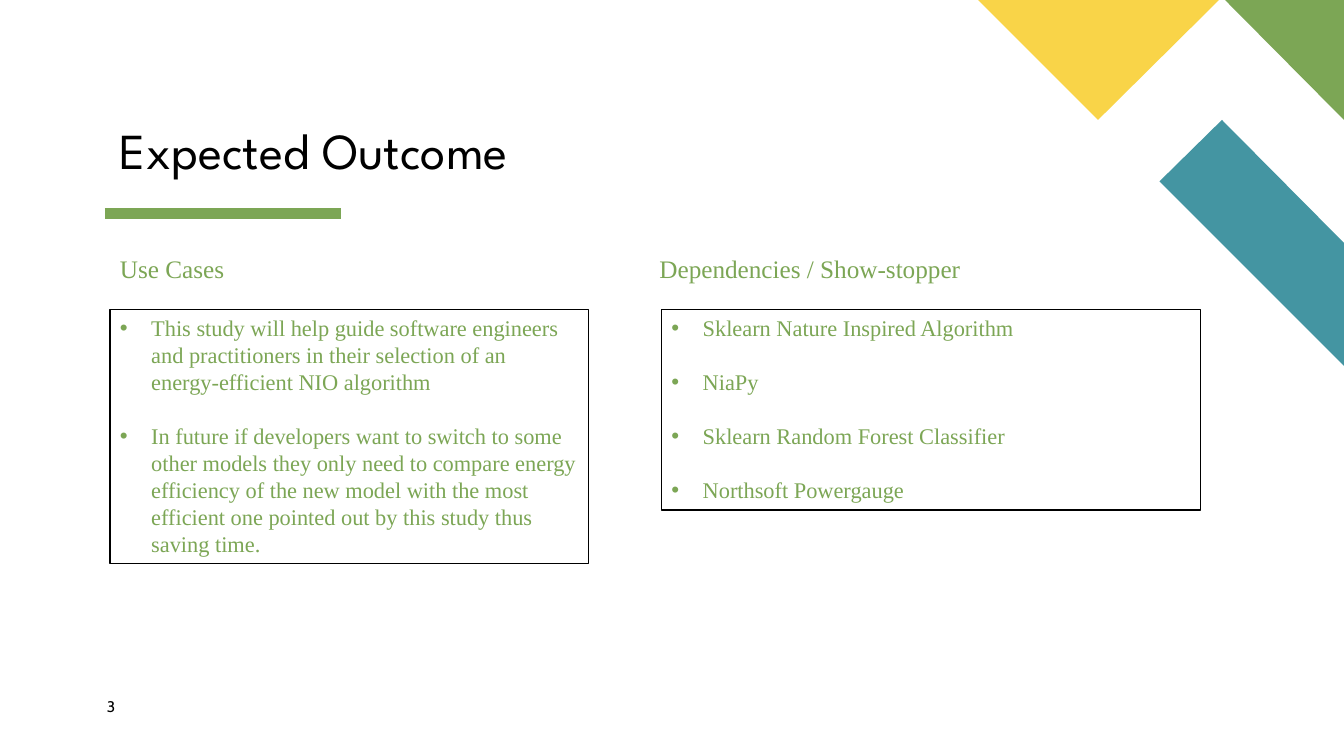
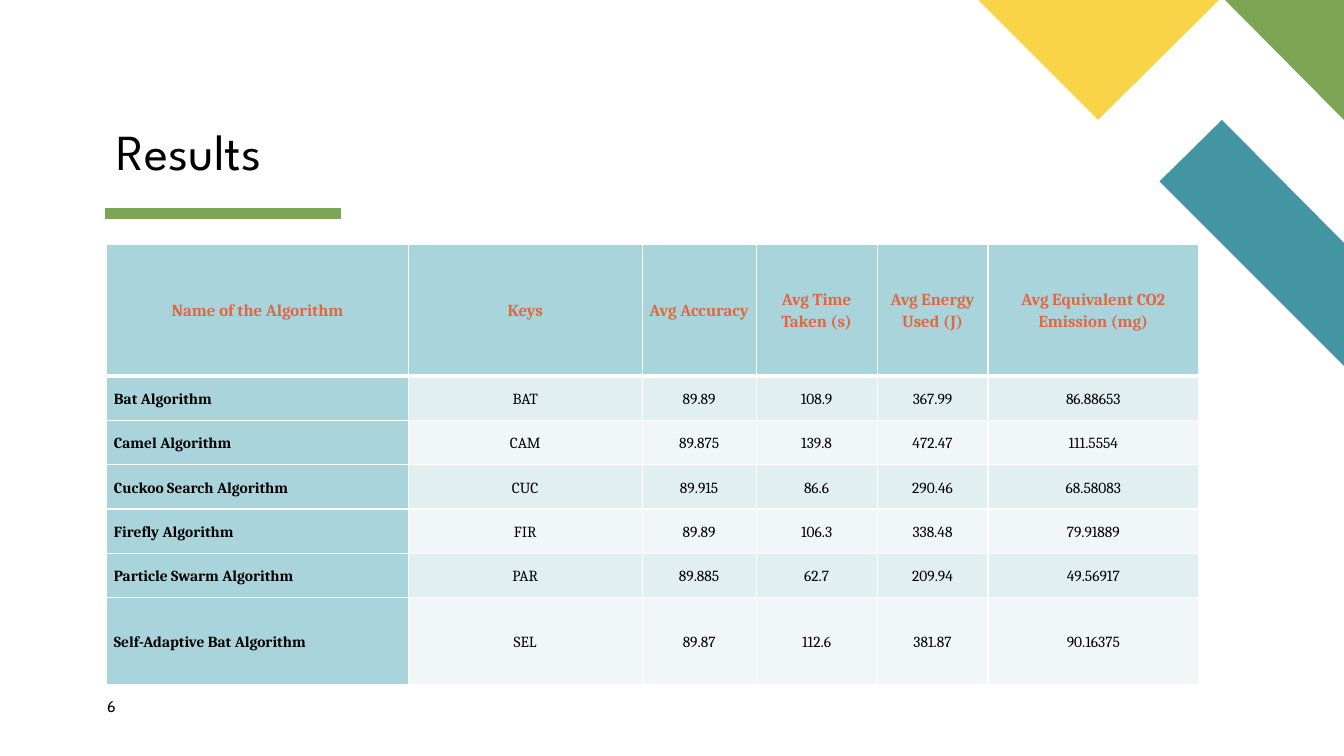
from lxml.etree import SubElement
from pptx import Presentation
from pptx.dml.color import RGBColor
from pptx.enum.shapes import MSO_CONNECTOR
from pptx.enum.text import MSO_ANCHOR as Anchor, MSO_AUTO_SIZE as AutoSize, PP_ALIGN as Align
from pptx.oxml.ns import qn
from pptx.util import Inches, Pt

COLORS = {
    "green": "7CA655", "teal": "4495A2", "yellow": "F9D448", "black": "000000",
    "white": "FFFFFF", "header": "A9D4DB", "header_text": "E06742",
    "odd_row": "E2EFF1", "even_row": "F1F7F8",
}
TITLE_FONT, NUMBER_FONT = "League Spartan", "Cabin"
BODY_FONT, TABLE_FONT = "Times New Roman", "Cambria"
COMPARISON_LAYOUT, TITLE_ONLY_LAYOUT = 4, 5

CORNER_SHAPES = [
    ("teal", [(13.33, 3.63), (13.33, 2.41), (12.12, 1.19), (11.5, 1.8)]),
    ("green", [(13.33, 1.19), (13.33, 0), (12.15, 0)]),
    ("yellow", [(9.7, 0), (10.89, 1.19), (12.09, 0)]),
]

OUTCOME_COLUMNS = [
    {
        "heading": "Use Cases",
        "heading_at": (1.09, 2.46, 5.35, 0.4),
        "list_at": (1.09, 3.07, 4.75, 2.52),
        "items": [
            "This study will help guide software engineers and practitioners in "
            "their selection of an energy-efficient NIO algorithm",
            "In future if developers want to switch to some other models they only "
            "need to compare energy efficiency of the new model with the most "
            "efficient one pointed out by this study thus saving time.",
        ],
    },
    {
        "heading": "Dependencies / Show-stopper",
        "heading_at": (6.44, 2.46, 5.57, 0.4),
        "list_at": (6.56, 3.07, 5.35, 1.99),
        "items": [
            "Sklearn Nature Inspired Algorithm",
            "NiaPy",
            "Sklearn Random Forest Classifier",
            "Northsoft Powergauge",
        ],
    },
]

RESULTS = [
    ("Name of the Algorithm", "Keys", "Avg Accuracy", "Avg Time Taken (s)",
     "Avg Energy Used (J)", "Avg Equivalent CO2 Emission (mg)"),
    ("Bat Algorithm", "BAT", "89.89", "108.9", "367.99", "86.88653"),
    ("Camel Algorithm", "CAM", "89.875", "139.8", "472.47", "111.5554"),
    ("Cuckoo Search Algorithm", "CUC", "89.915", "86.6", "290.46", "68.58083"),
    ("Firefly Algorithm", "FIR", "89.89", "106.3", "338.48", "79.91889"),
    ("Particle Swarm Algorithm", "PAR", "89.885", "62.7", "209.94", "49.56917"),
    ("Self-Adaptive Bat Algorithm", "SEL", "89.87", "112.6", "381.87", "90.16375"),
]
COLUMN_WIDTHS = [2.99, 2.32, 1.13, 1.2, 1.1, 2.09]
ROW_HEIGHTS = [1.31] + [0.44] * 5 + [0.86]


def rgb(name):
    return RGBColor.from_string(COLORS[name])


def paint(target, color):
    target.fill.solid()
    target.fill.fore_color.rgb = rgb(color)


def place(shape, at):
    shape.left, shape.top, shape.width, shape.height = map(Inches, at)


def write(frame, *texts, font, size, color="black", bold=False, align=Align.LEFT,
          spacing=None, before=0, after=0, gap=0, indent=None):
    """Write one paragraph per text; gap separates them and indent hangs bullets."""
    for index, text in enumerate(texts):
        para = frame.paragraphs[0] if index == 0 else frame.add_paragraph()
        para.alignment = align
        para.line_spacing = spacing
        para.space_before = Pt(gap if index else before)
        para.space_after = Pt(after)
        if indent:
            properties = para._p.get_or_add_pPr()
            properties.set("marL", str(Inches(indent)))
            properties.set("indent", str(-Inches(indent)))
        span = para.add_run()
        span.text = text
        span.font.name, span.font.size = font, Pt(size)
        span.font.bold = bold
        span.font.color.rgb = rgb(color)


def fill_placeholder(shape, at, *texts, wrap=True, **style):
    place(shape, at)
    frame = shape.text_frame
    frame.auto_size, frame.word_wrap = AutoSize.NONE, wrap
    frame.vertical_anchor = Anchor.TOP
    write(frame, *texts, **style)


def add_page(deck, layout, title, title_at, number):
    """Add a slide with its title, underline, corner shapes and number."""
    page = deck.slides.add_slide(deck.slide_layouts[layout])
    fill_placeholder(page.shapes.title, title_at, title, wrap=False,
                     font=TITLE_FONT, size=36)

    underline = page.shapes.add_connector(
        MSO_CONNECTOR.STRAIGHT, Inches(1.04), Inches(2.12), Inches(3.38), Inches(2.12))
    underline.line.color.rgb = rgb("green")
    underline.line.width = Pt(8)
    SubElement(underline._element.spPr, qn("a:effectLst"))

    for color, corners in CORNER_SHAPES:
        points = [(Inches(x), Inches(y)) for x, y in corners]
        builder = page.shapes.build_freeform(*points[0])
        builder.add_line_segments(points[1:], close=True)
        shape = builder.convert_to_shape()
        shape.shadow.inherit = False
        paint(shape, color)
        shape.line.fill.background()

    box = page.shapes.add_textbox(*map(Inches, (1.06, 6.92, 0.57, 0.27)))
    frame = box.text_frame
    frame.word_wrap = True
    frame.margin_left = frame.margin_right = frame.margin_top = frame.margin_bottom = 0
    write(frame, number, font=NUMBER_FONT, size=11)
    return page


def add_outcome_column(heading_box, list_box, column):
    style = {"font": BODY_FONT, "color": "green"}
    fill_placeholder(heading_box, column["heading_at"], column["heading"],
                     size=18, spacing=Pt(21.5), **style)
    fill_placeholder(list_box, column["list_at"], *column["items"],
                     size=16, spacing=Pt(19.25), gap=19.25, indent=0.31, **style)
    for shape in (heading_box, list_box):
        paint(shape, "white")
    list_box.line.color.rgb = rgb("black")
    list_box.line.width = Pt(1)


def set_borders(cell, **widths):
    """Draw white borders, with widths in points keyed by side: L, R, T, B."""
    properties = cell._tc.get_or_add_tcPr()
    for side, width in widths.items():
        line = SubElement(properties, qn(f"a:ln{side}"), w=str(Pt(width)))
        solid = SubElement(line, qn("a:solidFill"))
        SubElement(solid, qn("a:srgbClr"), val=COLORS["white"])


def add_results_table(page):
    frame = page.shapes.add_table(
        len(RESULTS), len(COLUMN_WIDTHS), Inches(1.06), Inches(2.42),
        Inches(sum(COLUMN_WIDTHS)), Inches(sum(ROW_HEIGHTS)))
    table = frame.table
    for column, width in zip(table.columns, COLUMN_WIDTHS):
        column.width = Inches(width)
    for row, height in zip(table.rows, ROW_HEIGHTS):
        row.height = Inches(height)

    for r, values in enumerate(RESULTS):
        for c, value in enumerate(values):
            cell = table.cell(r, c)
            is_header, is_name = r == 0, c == 0
            set_borders(cell, L=1, R=1, T=3 if r == 1 else 1, B=3 if is_header else 1)
            band = "odd_row" if r % 2 else "even_row"
            paint(cell, "header" if is_header or is_name else band)
            cell.vertical_anchor = Anchor.MIDDLE
            cell.margin_left = cell.margin_right = Inches(0.07)
            cell.margin_top = cell.margin_bottom = 0
            write(cell.text_frame, value, font=TABLE_FONT,
                  size=12 if is_header else 11,
                  color="header_text" if is_header else "black",
                  bold=is_header or is_name,
                  align=Align.LEFT if is_name and not is_header else Align.CENTER,
                  spacing=1.15, before=6, after=6)


def main():
    deck = Presentation()
    deck.slide_width, deck.slide_height = Inches(13.33), Inches(7.5)

    outcome = add_page(deck, COMPARISON_LAYOUT, "Expected Outcome",
                       (1.09, 1.13, 4.87, 0.71), "3")
    _, *boxes = outcome.placeholders
    for heading_box, list_box, column in zip(boxes[::2], boxes[1::2], OUTCOME_COLUMNS):
        add_outcome_column(heading_box, list_box, column)

    results = add_page(deck, TITLE_ONLY_LAYOUT, "Results", (1.06, 1.14, 2.02, 0.71), "6")
    add_results_table(results)

    deck.save("out.pptx")


if __name__ == "__main__":
    main()
